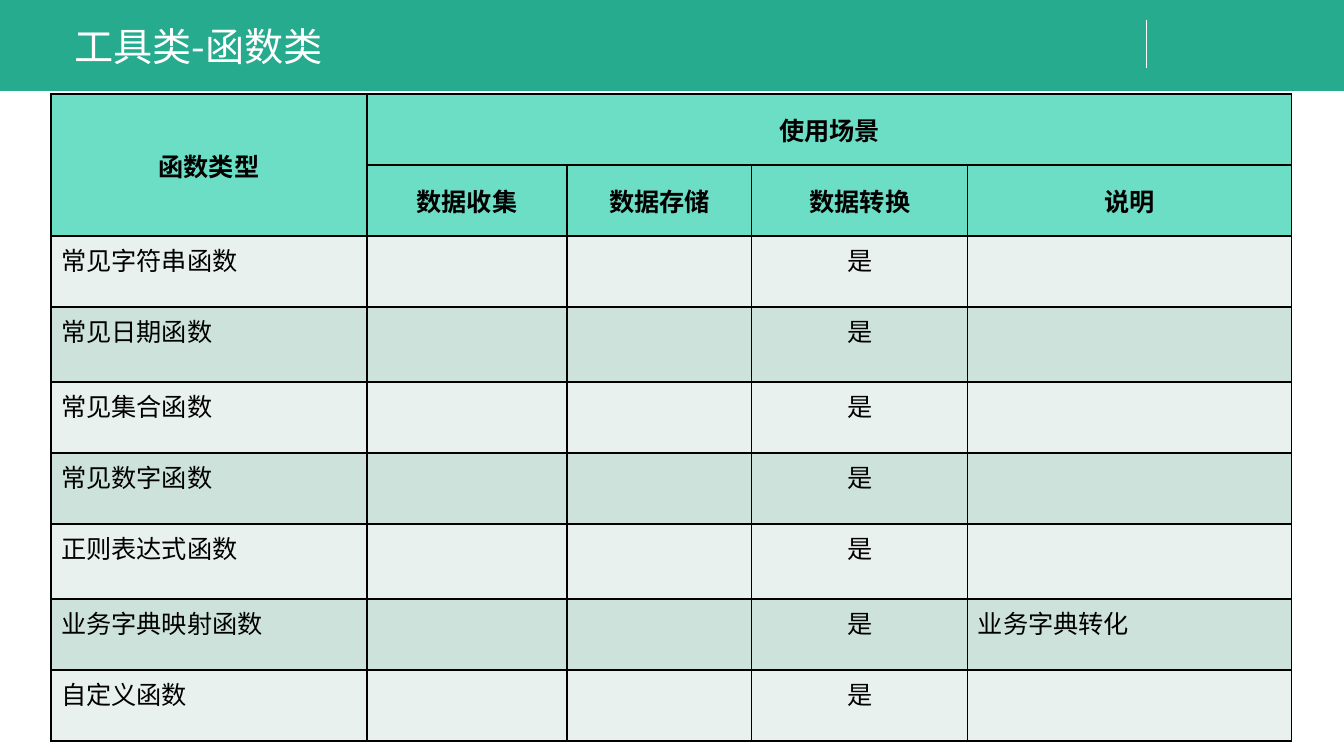
from dataclasses import dataclass

import pptx
import pptx.dml.color
import pptx.enum.shapes
import pptx.enum.text
import pptx.oxml
import pptx.oxml.ns
import pptx.util

PX_PER_INCH = 100.8
CJK_FONT = "Noto Sans CJK SC"
HEADER_FILL = "6BDEC5"
BAND_FILLS = ("E8F1EE", "CDE2DB")
COLUMN_WIDTHS = (316, 200, 185, 216, 324)
ROW_HEIGHTS = (71, 71, 71, 75, 71, 71, 75, 71, 71)
SCENARIOS = ("数据收集", "数据存储", "数据转换", "说明")
CENTRE = pptx.enum.text.PP_ALIGN.CENTER
LEFT = pptx.enum.text.PP_ALIGN.LEFT
MIDDLE = pptx.enum.text.MSO_ANCHOR.MIDDLE
TOP = pptx.enum.text.MSO_ANCHOR.TOP


@dataclass
class FunctionKind:
    name: str
    collect: str = ""
    store: str = ""
    convert: str = "是"
    note: str = ""


FUNCTION_KINDS = (
    FunctionKind("常见字符串函数"),
    FunctionKind("常见日期函数"),
    FunctionKind("常见集合函数"),
    FunctionKind("常见数字函数"),
    FunctionKind("正则表达式函数"),
    FunctionKind("业务字典映射函数", note="业务字典转化"),
    FunctionKind("自定义函数"),
)


def px(length: int) -> int:
    return pptx.util.Emu(round(length * 914400 / PX_PER_INCH))


def colour(value: str) -> pptx.dml.color.RGBColor:
    return pptx.dml.color.RGBColor.from_string(value)


def write(frame, text: str, *, size: int, font: str, ink: str,
          bold: bool = False, align=LEFT) -> None:
    para = frame.paragraphs[0]
    para.alignment = align
    if not text:
        para.font.size = pptx.util.Pt(size)
        return
    span = para.add_run()
    span.text = text
    span.font.size = pptx.util.Pt(size)
    span.font.bold = bold
    span.font.color.rgb = colour(ink)
    span.font.name = font
    # East Asian typeface follows the Latin one
    east_asian = pptx.oxml.parse_xml(
        f'<a:ea {pptx.oxml.ns.nsdecls("a")} typeface="{CJK_FONT}"/>')
    span.font.fill  # keeps the fill ahead of the typefaces
    span.font._element.find(pptx.oxml.ns.qn("a:latin")).addnext(east_asian)


def border(cell, ink: str, points: int) -> None:
    properties = cell._tc.get_or_add_tcPr()
    for index, side in enumerate(("lnL", "lnR", "lnT", "lnB")):
        properties.insert(index, pptx.oxml.parse_xml(
            f'<a:{side} {pptx.oxml.ns.nsdecls("a")} w="{points * 12700}">'
            f'<a:solidFill><a:srgbClr val="{ink}"/></a:solidFill></a:{side}>'))


def fill_cell(cell, text: str, *, fill: str, bold: bool = False,
              align=LEFT, anchor=TOP) -> None:
    cell.fill.solid()
    cell.fill.fore_color.rgb = colour(fill)
    cell.vertical_anchor = anchor
    border(cell, "000000", 1)
    write(cell.text_frame, text, size=18, font="Arial", ink="000000",
          bold=bold, align=align)


def add_header(page) -> None:
    # Green band
    band = page.shapes.add_shape(pptx.enum.shapes.MSO_SHAPE.RECTANGLE,
                                 0, 0, px(1344), px(91))
    band.shadow.inherit = False
    band.fill.solid()
    band.fill.fore_color.rgb = colour("26AB8E")
    band.line.fill.background()

    # Thin divider
    divider = page.shapes.add_connector(
        pptx.enum.shapes.MSO_CONNECTOR.STRAIGHT,
        px(1146), px(20), px(1146), px(68))
    divider.line.color.rgb = colour("FFFFFF")
    divider.line.width = pptx.util.Pt(0.5)
    divider._element.spPr.append(pptx.oxml.parse_xml(
        f'<a:effectLst {pptx.oxml.ns.nsdecls("a")}/>'))

    # Title, brought in front of the band
    title = page.shapes.title
    title.left, title.top = px(64), px(10)
    title.width, title.height = px(965), px(72)
    title.text_frame.vertical_anchor = MIDDLE
    write(title.text_frame, "工具类-函数类", size=28, font=CJK_FONT, ink="FFFFFF")
    title.element.getparent().append(title.element)


def add_function_table(page) -> None:
    table = page.shapes.add_table(
        len(ROW_HEIGHTS), len(COLUMN_WIDTHS), px(51), px(94),
        px(sum(COLUMN_WIDTHS)), px(sum(ROW_HEIGHTS))).table
    table.first_row = table.horz_banding = False
    for column, width in zip(table.columns, COLUMN_WIDTHS):
        column.width = px(width)
    for row, height in zip(table.rows, ROW_HEIGHTS):
        row.height = px(height)

    # Two header rows
    headings = (("函数类型", "使用场景", "", "", ""), ("", *SCENARIOS))
    for row, texts in enumerate(headings):
        for column, text in enumerate(texts):
            fill_cell(table.cell(row, column), text, fill=HEADER_FILL,
                      bold=True, align=CENTRE, anchor=MIDDLE)
    table.cell(0, 0).merge(table.cell(1, 0))
    table.cell(0, 1).merge(table.cell(0, 4))

    # Function rows in alternating fills
    for index, kind in enumerate(FUNCTION_KINDS):
        texts = (kind.name, kind.collect, kind.store, kind.convert, kind.note)
        for column, text in enumerate(texts):
            fill_cell(table.cell(index + len(headings), column), text,
                      fill=BAND_FILLS[index % 2],
                      align=CENTRE if column in (1, 2, 3) else LEFT)


def main() -> None:
    deck = pptx.Presentation()
    deck.slide_width, deck.slide_height = px(1344), px(756)
    page = deck.slides.add_slide(deck.slide_layouts[5])
    add_header(page)
    add_function_table(page)
    deck.save("out.pptx")


if __name__ == "__main__":
    main()
